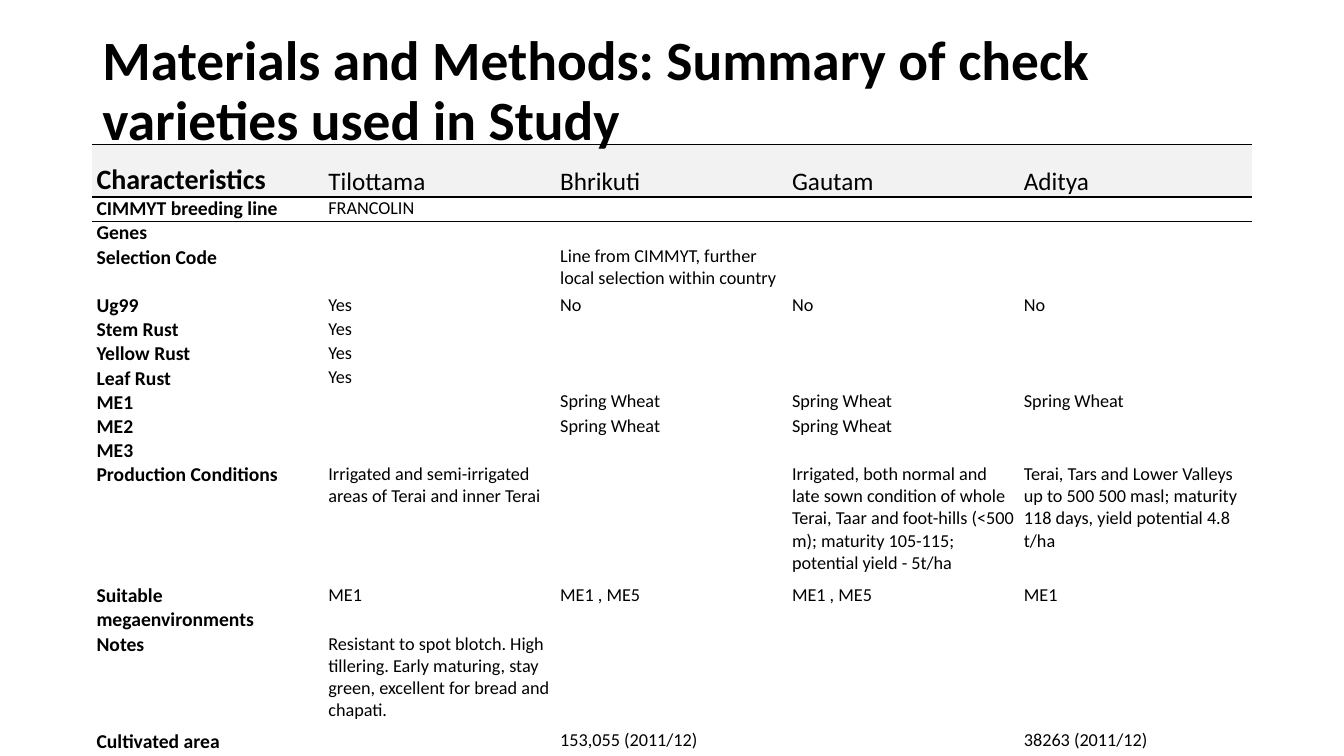
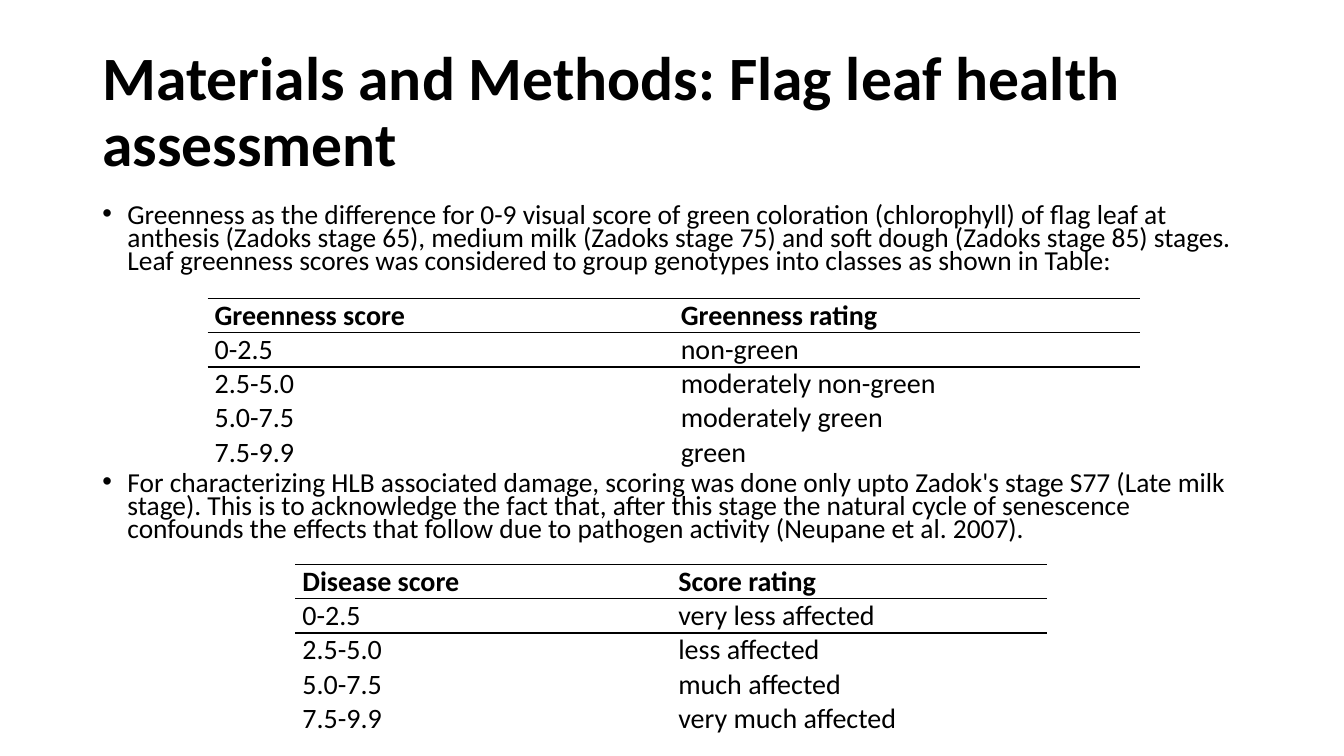
from dataclasses import dataclass

from lxml import etree
from pptx import Presentation
from pptx.dml.color import RGBColor
from pptx.enum.text import MSO_ANCHOR, MSO_AUTO_SIZE, PP_ALIGN
from pptx.oxml.ns import qn
from pptx.slide import Slide
from pptx.util import Pt

TOP, MIDDLE, BOTTOM = MSO_ANCHOR.TOP, MSO_ANCHOR.MIDDLE, MSO_ANCHOR.BOTTOM
LEFT = PP_ALIGN.LEFT
NO_AUTOFIT = MSO_AUTO_SIZE.NONE

COLORS = {"text": "000000", "header": "F2F2F2"}
FONT = "Calibri"
NO_STYLE = "{2D5ABB26-0587-4C30-8999-92F81FD0307C}"
TITLE_ONLY = 5
SLIDE_W, SLIDE_H = 960, 540
MARGIN, CONTENT_W = 66, 828
TITLE_TOP = 28.8
LINE_H = 17.3
SCORE_ROW_H = 24.5


@dataclass
class Row:
    cells: tuple[str, ...]
    height: float


@dataclass
class TableStyle:
    padding: float
    header_sizes: tuple[float, float]
    body_sizes: tuple[float, float]
    header_bold: tuple[bool, bool]
    body_bold: tuple[bool, bool]
    header_fill: str | None = None


@dataclass
class ScoreTable:
    left: float
    top: float
    width: float
    headers: tuple[str, str]
    ratings: tuple[str, ...]


CHECK_STYLE = TableStyle(3, (20, 18), (14, 13), (True, False), (True, False), "header")
SCORE_STYLE = TableStyle(5, (20, 20), (20, 20), (True, True), (False, False))

CHECK_HEADERS = ("Characteristics", "Tilottama", "Bhrikuti", "Gautam", "Aditya")
CHECK_ROWS = (
    (1, "CIMMYT breeding line", "FRANCOLIN", "", "", ""),
    (1, "Genes", "", "", "", ""),
    (2, "Selection Code", "",
     "Line from CIMMYT, further local selection within country", "", ""),
    (1, "Ug99", "Yes", "No", "No", "No"),
    (1, "Stem Rust", "Yes", "", "", ""),
    (1, "Yellow Rust", "Yes", "", "", ""),
    (1, "Leaf Rust", "Yes", "", "", ""),
    (1, "ME1", "", "Spring Wheat", "Spring Wheat", "Spring Wheat"),
    (1, "ME2", "", "Spring Wheat", "Spring Wheat", ""),
    (1, "ME3", "", "", "", ""),
    (5, "Production Conditions",
     "Irrigated and semi-irrigated areas of Terai and inner Terai", "",
     "Irrigated, both normal and late sown condition of whole Terai, Taar and "
     "foot-hills (<500 m); maturity 105-115; potential yield - 5t/ha",
     "Terai, Tars and Lower Valleys up to 500 500 masl; maturity 118 days, "
     "yield potential 4.8 t/ha"),
    (2, "Suitable megaenvironments", "ME1", "ME1 , ME5", "ME1 , ME5", "ME1"),
    (4, "Notes",
     "Resistant to spot blotch. High tillering. Early maturing, stay green, "
     "excellent for bread and chapati.", "", "", ""),
    (1, "Cultivated area", "", "153,055 (2011/12)", "", "38263 (2011/12)"),
)

SCORES = ("0-2.5", "2.5-5.0", "5.0-7.5", "7.5-9.9")
SCORE_TABLES = (
    ScoreTable(148.3, 213.1, 666, ("Greenness score", "Greenness rating"),
               ("non-green", "moderately non-green", "moderately green", "green")),
    ScoreTable(211, 403.2, 537, ("Disease score", "Score rating"),
               ("very less affected", "less affected", "much affected",
                "very much affected")),
)

BULLETS = (
    "Greenness as the difference for 0-9 visual score of green coloration "
    "(chlorophyll) of flag leaf at anthesis (Zadoks stage 65), medium milk "
    "(Zadoks stage 75) and soft dough (Zadoks stage 85) stages. Leaf greenness "
    "scores was considered to group genotypes into classes as shown in Table:",
    "For characterizing HLB associated damage, scoring was done only upto "
    "Zadok's stage S77 (Late milk stage). This is to acknowledge the fact that, "
    "after this stage the natural cycle of senescence confounds the effects that "
    "follow due to pathogen activity (Neupane et al. 2007).",
)


def set_font(p, size: float, bold: bool = False) -> None:
    p.font.name = FONT
    p.font.size = Pt(size)
    p.font.bold = bold
    p.font.color.rgb = RGBColor.from_string(COLORS["text"])


def add_title(slide: Slide, text: str, size: float, height: float) -> None:
    sp = slide.shapes.title
    sp.left, sp.top = Pt(MARGIN), Pt(TITLE_TOP)
    sp.width, sp.height = Pt(CONTENT_W), Pt(height)
    tf = sp.text_frame
    tf.text = text
    tf.word_wrap = True
    tf.auto_size = NO_AUTOFIT
    tf.vertical_anchor = MIDDLE
    p = tf.paragraphs[0]
    p.alignment = LEFT
    p.line_spacing = 0.9
    set_font(p, size, True)
    sp.element.getparent().append(sp.element)


def set_borders(cell, sides: tuple[str, ...]) -> None:
    tc_pr = cell._tc.get_or_add_tcPr()
    for i, side in enumerate(("lnL", "lnR", "lnT", "lnB")):
        ln = etree.Element(qn(f"a:{side}"), w=str(Pt(1)))
        if side in sides:
            fill = etree.SubElement(ln, qn("a:solidFill"))
            etree.SubElement(fill, qn("a:srgbClr"), val=COLORS["text"])
        else:
            etree.SubElement(ln, qn("a:noFill"))
        tc_pr.insert(i, ln)


def format_cell(cell, text: str, row: int, col: int, style: TableStyle) -> None:
    header = row == 0
    kind = min(col, 1)
    size = (style.header_sizes if header else style.body_sizes)[kind]
    bold = (style.header_bold if header else style.body_bold)[kind]
    cell.margin_left = cell.margin_right = Pt(style.padding)
    cell.margin_top = cell.margin_bottom = 0
    cell.vertical_anchor = BOTTOM if header else TOP
    if header and style.header_fill:
        cell.fill.solid()
        cell.fill.fore_color.rgb = RGBColor.from_string(COLORS[style.header_fill])
    else:
        cell.fill.background()
    cell.text = text
    p = cell.text_frame.paragraphs[0]
    set_font(p, size, bold)
    if not text:
        etree.SubElement(p._p, qn("a:endParaRPr"), sz=str(size * 100))
    set_borders(cell, {0: ("lnT", "lnB"), 1: ("lnT", "lnB"), 2: ("lnT",)}.get(row, ()))


def add_table(slide: Slide, left: float, top: float, width: float,
              rows: list[Row], style: TableStyle) -> None:
    n_cols = len(rows[0].cells)
    height = sum(row.height for row in rows)
    table = slide.shapes.add_table(len(rows), n_cols, Pt(left), Pt(top),
                                   Pt(width), Pt(height)).table
    table.first_row = table.horz_banding = False
    table._tbl.tblPr.find(qn("a:tableStyleId")).text = NO_STYLE
    for column in table.columns:
        column.width = Pt(width / n_cols)
    for r, row in enumerate(rows):
        table.rows[r].height = Pt(row.height)
        for c, text in enumerate(row.cells):
            format_cell(table.cell(r, c), text, r, c, style)


def add_bullets(slide: Slide, gap: float) -> None:
    sp = slide.shapes.add_textbox(Pt(MARGIN), Pt(144), Pt(CONTENT_W), Pt(259.2))
    tf = sp.text_frame
    tf.word_wrap = True
    for i, text in enumerate(BULLETS):
        p = tf.add_paragraph() if i else tf.paragraphs[0]
        p.text = text
        p.line_spacing = 0.7
        if i:
            p.space_before = Pt(gap)
        p_pr = p._p.get_or_add_pPr()
        p_pr.set("marL", str(Pt(18)))
        p_pr.set("indent", str(-Pt(18)))
        etree.SubElement(p_pr, qn("a:buFont"), typeface="Arial")
        etree.SubElement(p_pr, qn("a:buChar"), char="•")
        set_font(p, 19.6)


def build_varieties(prs) -> None:
    slide = prs.slides.add_slide(prs.slide_layouts[TITLE_ONLY])
    rows = [Row(CHECK_HEADERS, 37.5)]
    rows += [Row(tuple(cells), lines * LINE_H) for lines, *cells in CHECK_ROWS]
    add_table(slide, MARGIN, 103.2, CONTENT_W, rows, CHECK_STYLE)
    add_title(slide, "Materials and Methods: Summary of check varieties used in Study",
              39.6, 74.9)


def build_leaf_health(prs) -> None:
    slide = prs.slides.add_slide(prs.slide_layouts[TITLE_ONLY])
    add_bullets(slide, 142)
    for t in SCORE_TABLES:
        rows = [Row(cells, SCORE_ROW_H)
                for cells in (t.headers, *zip(SCORES, t.ratings))]
        add_table(slide, t.left, t.top, t.width, rows, SCORE_STYLE)
    add_title(slide, "Materials and Methods: Flag leaf health assessment", 44, 104.4)


def main() -> None:
    prs = Presentation()
    prs.slide_width, prs.slide_height = Pt(SLIDE_W), Pt(SLIDE_H)
    build_varieties(prs)
    build_leaf_health(prs)
    prs.save("out.pptx")


if __name__ == "__main__":
    main()
